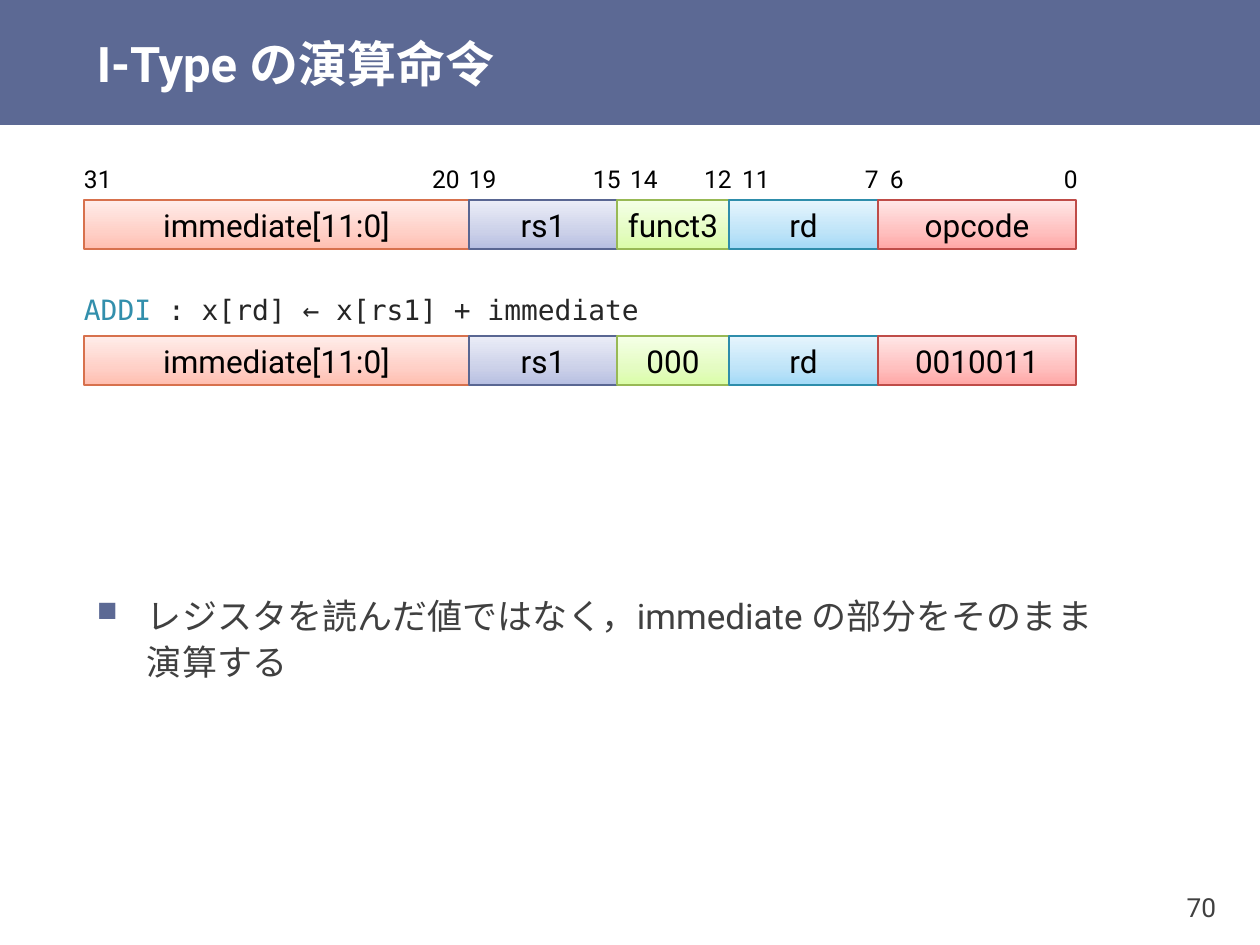
import copy

import lxml.etree
import pptx
import pptx.dml.color
import pptx.enum.shapes
import pptx.enum.text
import pptx.oxml.ns
import pptx.util

PX_PER_INCH = 126
ALIGN = pptx.enum.text.PP_ALIGN
ANCHOR = pptx.enum.text.MSO_ANCHOR
COLORS = {
    "band": "5C6994",
    "white": "FFFFFF",
    "black": "000000",
    "body": "404040",
    "code": "262626",
    "mnemonic": "328FAC",
}
FIELD_COLORS = {
    "immediate": ("D7714D", ["FFBEB0", "FFD0C7", "FFEDEA"]),
    "rs1": ("596692", ["B6BEE1", "CCD1E9", "EBEDF7"]),
    "funct3": ("98B955", ["DAFDA7", "E4FCC2", "F5FFE7"]),
    "rd": ("2E8DAB", ["A2D9F7", "BFE4F8", "E6F5FD"]),
    "opcode": ("BF4C48", ["FFA6A5", "FFC0BF", "FFE7E7"]),
}
STOPS = [0, 0.35, 1]
FIELD_EDGES = [84, 469, 617, 729, 878, 1076]
FIELD_HEIGHT = 49
BIT_LEFTS = {
    "31": 84, "20": 432, "19": 469, "15": 593, "14": 630,
    "12": 704, "11": 742, "7": 865, "6": 890, "0": 1064,
}


def px(length):
    return pptx.util.Emu(round(length * 914400 / PX_PER_INCH))


def rgb(value):
    return pptx.dml.color.RGBColor.from_string(value)


def add_text(para, text, size=18, color="black", font="Roboto", bold=False):
    span = para.add_run()
    span.text = text
    span.font.size = pptx.util.Pt(size)
    span.font.name = font
    span.font.bold = bold
    span.font.color.rgb = rgb(COLORS[color])


def format_frame(frame, wrap=False, anchor=ANCHOR.MIDDLE, align=ALIGN.LEFT,
                 insets=(13, 6)):
    frame.word_wrap = wrap
    frame.vertical_anchor = anchor
    frame.margin_left = frame.margin_right = px(insets[0])
    frame.margin_top = frame.margin_bottom = px(insets[1])
    para = frame.paragraphs[0]
    para.alignment = align
    return para


def add_text_box(page, left, top, width, height, **layout):
    box = page.shapes.add_textbox(px(left), px(top), px(width), px(height))
    return format_frame(box.text_frame, **layout)


def add_rectangle(page, left, top, width, height):
    shape = page.shapes.add_shape(
        pptx.enum.shapes.MSO_SHAPE.RECTANGLE,
        px(left), px(top), px(width), px(height))
    shape.shadow.inherit = False
    return shape


def fill_gradient(shape, colors):
    fill = shape.fill
    fill.gradient()
    fill.gradient_angle = 90
    stop_list = shape._element.spPr.find(".//" + pptx.oxml.ns.qn("a:gsLst"))
    stop_list.append(copy.deepcopy(stop_list[-1]))
    for stop, position, color in zip(fill.gradient_stops, STOPS, colors):
        stop.position = position
        stop.color.rgb = rgb(color)


def add_field(page, kind, text, left, right, top):
    line_color, gradient = FIELD_COLORS[kind]
    box = add_rectangle(page, left, top, right - left, FIELD_HEIGHT)
    fill_gradient(box, gradient)
    box.line.color.rgb = rgb(line_color)
    box.line.width = pptx.util.Pt(0.75)
    para = format_frame(box.text_frame, align=ALIGN.CENTER, insets=(0, 6))
    add_text(para, text)


def add_instruction(page, top, labels):
    for kind, text, left, right in zip(
            FIELD_COLORS, labels, FIELD_EDGES, FIELD_EDGES[1:]):
        add_field(page, kind, text, left, right, top)


def add_bit_numbers(page):
    for number, left in BIT_LEFTS.items():
        width = 15 * len(number)
        para = add_text_box(page, left, 162, width, 34, insets=(0, 0))
        add_text(para, number, size=14)


def add_title(page, text):
    title = page.shapes.title
    title.left, title.top, title.width, title.height = (
        px(84), px(0), px(1176), px(125))
    para = format_frame(title.text_frame, wrap=True, insets=(13, 0))
    add_text(para, text, size=28, color="white", bold=True)
    band = add_rectangle(page, 0, 0, 1260, 125)
    band.fill.solid()
    band.fill.fore_color.rgb = rgb(COLORS["band"])
    band.line.fill.background()
    title._element.addprevious(band._element)


def set_bullet(para, character, color, indent):
    properties = para._p.get_or_add_pPr()
    properties.set("marL", str(px(indent)))
    properties.set("indent", str(-px(indent)))
    qn = pptx.oxml.ns.qn
    bullet_color = lxml.etree.SubElement(properties, qn("a:buClr"))
    lxml.etree.SubElement(bullet_color, qn("a:srgbClr"), val=COLORS[color])
    lxml.etree.SubElement(properties, qn("a:buSzPct"), val="80000")
    lxml.etree.SubElement(properties, qn("a:buChar"), char=character)


def add_bullet(page, text):
    para = add_text_box(page, 84, 584, 1042, 174, wrap=True, anchor=ANCHOR.TOP)
    set_bullet(para, "■", "band", 50)
    para.line_spacing = 1.1
    para.space_after = pptx.util.Pt(6)
    add_text(para, text, size=20, color="body")


def add_operation(page, mnemonic, meaning):
    para = add_text_box(page, 71, 287, 600, 49, anchor=ANCHOR.TOP)
    for text, color in ((mnemonic, "mnemonic"), (meaning, "code")):
        add_text(para, text, size=16, color=color, font="DejaVu Sans Mono")


def add_page_number(page, number):
    para = add_text_box(page, 1125, 869, 100, 76, wrap=True,
                        align=ALIGN.RIGHT, insets=(9, 5))
    add_text(para, number, size=15, color="body")


def main():
    deck = pptx.Presentation()
    deck.slide_width, deck.slide_height = px(1260), px(945)
    page = deck.slides.add_slide(deck.slide_layouts[5])
    add_title(page, "I-Type の演算命令")
    add_bit_numbers(page)
    add_instruction(
        page, 200, ["immediate[11:0]", "rs1", "funct3", "rd", "opcode"])
    add_operation(page, "ADDI", " : x[rd] ← x[rs1] + immediate")
    add_instruction(
        page, 336, ["immediate[11:0]", "rs1", "000", "rd", "0010011"])
    add_bullet(
        page, "レジスタを読んだ値ではなく，immediate の部分をそのまま演算する")
    add_page_number(page, "70")
    deck.save("out.pptx")


if __name__ == "__main__":
    main()
